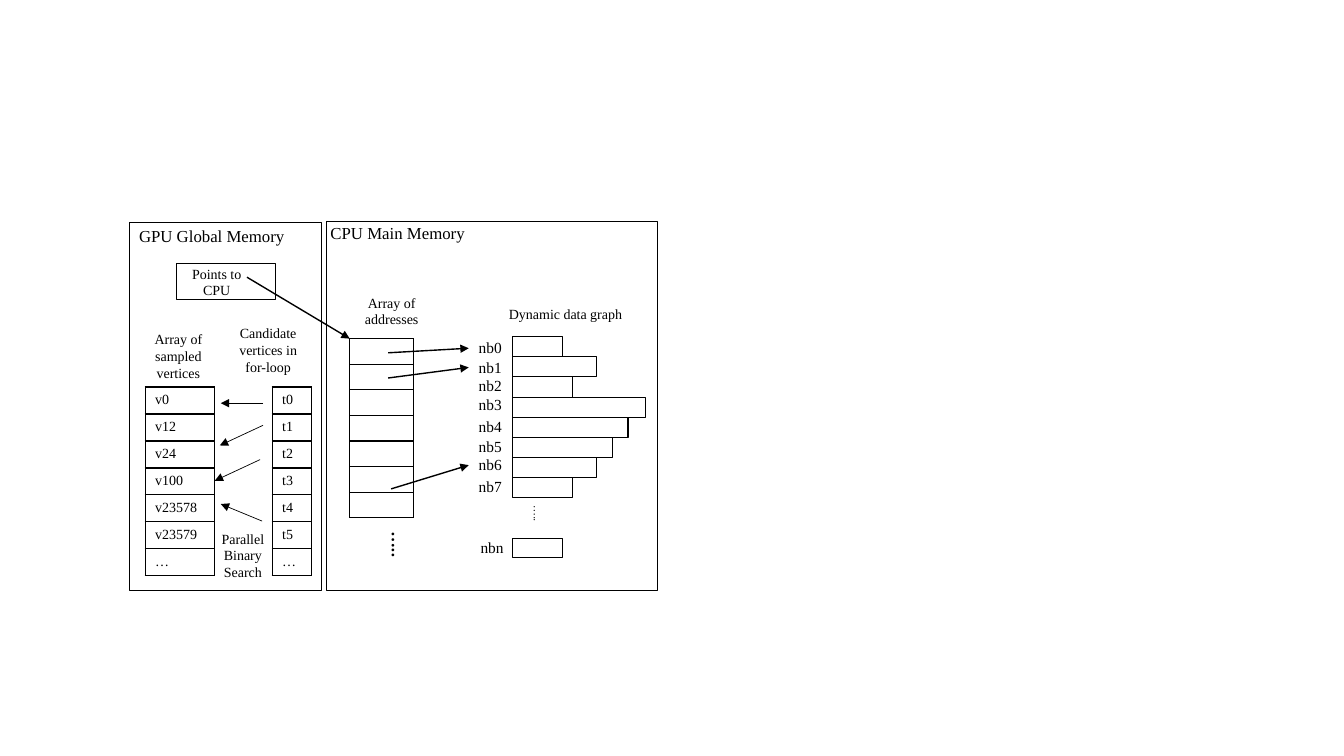
from dataclasses import dataclass

from lxml import etree
from pptx import Presentation
from pptx.dml.color import RGBColor
from pptx.enum.shapes import MSO_CONNECTOR, MSO_SHAPE
from pptx.enum.text import MSO_ANCHOR, MSO_AUTO_SIZE, PP_ALIGN
from pptx.oxml.ns import qn
from pptx.util import Pt

RECT = MSO_SHAPE.RECTANGLE
STRAIGHT = MSO_CONNECTOR.STRAIGHT
TOP = MSO_ANCHOR.TOP
GROW = MSO_AUTO_SIZE.SHAPE_TO_FIT_TEXT
LEFT, CENTER = PP_ALIGN.LEFT, PP_ALIGN.CENTER


@dataclass
class Theme:
    font: str = "Times New Roman"
    ink: str = "000000"
    heading: float = 12
    label: float = 11
    body: float = 10
    empty: float = 8
    outline: float = 0.75
    strong: float = 1
    thin: float = 0.5


class Diagram:
    """Draws black-and-white diagram parts on one slide."""

    def __init__(self, slide, theme):
        self.s = slide
        self.t = theme
        self.ink = RGBColor.from_string(theme.ink)

    def style(self, p, size, align=LEFT, bold=False):
        p.alignment = align
        p.font.name = self.t.font
        p.font.size = Pt(size)
        p.font.bold = bold
        p.font.color.rgb = self.ink

    def box(self, x, y, w, h):
        sp = self.s.shapes.add_shape(RECT, Pt(x), Pt(y), Pt(w), Pt(h))
        sp.shadow.inherit = False
        sp.fill.background()
        sp.line.color.rgb = self.ink
        sp.line.width = Pt(self.t.outline)
        return sp

    def text(self, x, y, w, h, text, size, align=LEFT, wrap=True,
             bold=False, rotation=0):
        sp = self.s.shapes.add_textbox(Pt(x), Pt(y), Pt(w), Pt(h))
        sp.rotation = rotation
        tf = sp.text_frame
        tf.word_wrap = wrap
        tf.auto_size = GROW
        tf.text = text
        for p in tf.paragraphs:
            self.style(p, size, align, bold)
        return sp

    def arrow(self, start, end, width, target=None):
        x1, y1, x2, y2 = (Pt(v) for v in (*start, *end))
        c = self.s.shapes.add_connector(STRAIGHT, x1, y1, x2, y2)
        if target is not None:
            c.end_connect(target, 1)
        c.line.color.rgb = self.ink
        c.line.width = Pt(width)
        ln = c.line._get_or_add_ln()
        etree.SubElement(ln, qn("a:tailEnd"), type="triangle")
        etree.SubElement(c._element.spPr, qn("a:effectLst"))
        return c

    def border(self, cell):
        tc_pr = cell._tc.get_or_add_tcPr()
        for side in ("lnL", "lnR", "lnT", "lnB"):
            ln = etree.SubElement(tc_pr, qn(f"a:{side}"), w=str(Pt(self.t.strong)))
            fill = etree.SubElement(ln, qn("a:solidFill"))
            etree.SubElement(fill, qn("a:srgbClr"), val=self.t.ink)

    def column(self, x, y, w, row_h, texts):
        """A one-column table that shows an array."""
        n = len(texts)
        frame = self.s.shapes.add_table(n, 1, Pt(x), Pt(y), Pt(w), Pt(row_h * n))
        table = frame.table
        table.first_row = table.horz_banding = False
        for i, text in enumerate(texts):
            table.rows[i].height = Pt(row_h)
            cell = table.cell(i, 0)
            cell.vertical_anchor = TOP
            cell.margin_top = cell.margin_bottom = Pt(3.6)
            self.border(cell)
            cell.fill.background()
            p = cell.text_frame.paragraphs[0]
            if text:
                p.text = text
                self.style(p, self.t.body)
            else:
                etree.SubElement(p._p, qn("a:endParaRPr"),
                                 sz=str(self.t.empty * 100))


def draw_cpu(d):
    t = d.t
    # Array of addresses
    d.column(249.8, 241.9, 45.4, 18.3, [""] * 7)
    d.text(239.8, 206.6, 79.9, 31.7, "Array of addresses", t.body, CENTER)

    # Dynamic data graph: one bar per neighbour list
    bar_x, bar_y, bar_h = 365.8, 240.5, 14.4
    widths = (36, 60, 43.2, 95, 82.8, 72, 60, 43.2)
    for i, w in enumerate(widths):
        d.box(bar_x, bar_y + i * bar_h, w, bar_h)
    d.box(bar_x, 384.5, 36, 13.7)

    label_tops = (238.3, 252, 265, 278.6, 294.5, 308.9, 321.8, 337)
    labels = [d.text(334.8, y, 31, 20.9, f"nb{i}", t.label, wrap=False)
              for i, y in enumerate(label_tops)]
    d.text(336.2, 380.9, 31, 20.9, "nbn", t.label, wrap=False)
    d.text(365.8, 357.8, 26.6, 17.3, "..…", t.empty, wrap=False, rotation=270)
    d.text(352.1, 214.6, 103.7, 19.4, "Dynamic data graph", t.body, CENTER)

    # Addresses point to neighbour lists
    for start, i in (((277.2, 252), 0), ((277.2, 270), 1), ((279.4, 349.2), 6)):
        d.arrow(start, (334.8, label_tops[i] + 10.4), t.strong, labels[i])

    # Frame
    d.box(233.3, 158.4, 236.2, 263.5)
    d.text(229, 155.5, 165.6, 21.6, "CPU Main Memory", t.heading)
    d.text(260.6, 378, 32.4, 21.6, "..…", t.heading, wrap=False, bold=True,
           rotation=270)


def draw_gpu(d):
    t = d.t
    # Frame and pointer
    d.box(92.2, 159.1, 137.5, 262.8)
    d.text(92.2, 157.7, 130.3, 21.6, "GPU Global Memory", t.heading)
    d.box(126, 187.9, 70.6, 25.9)
    d.arrow((176.4, 198), (249.8, 241.9), t.strong)
    d.text(121.7, 185.8, 66.2, 31.7, "Points to CPU", t.body, CENTER)

    # Sampled vertices and candidate vertices
    top, row_h = 276.5, 19.2
    vertices = ["v0", "v12", "v24", "v100", "v23578", "v23579", "…"]
    d.column(103.7, top, 49.7, row_h, vertices)
    d.column(194.4, top, 28.1, row_h, [f"t{i}" for i in range(6)] + ["…"])
    d.text(87.1, 232.6, 80.6, 43.9, "Array of sampled vertices", t.body, CENTER)
    d.text(160.6, 228.2, 61.9, 43.9, "Candidate vertices in for-loop", t.body, CENTER)

    # Parallel binary search
    for start, end in (((187.9, 288), (157.7, 288)),
                       ((187.9, 303.8), (157, 318.2)),
                       ((185.8, 328.3), (153.4, 343.4)),
                       ((187.2, 372.2), (157.7, 360))):
        d.arrow(start, end, t.thin)
    d.text(144.7, 375.1, 57.6, 43.9, "Parallel\nBinary Search", t.body, CENTER)


def main():
    prs = Presentation()
    prs.slide_width, prs.slide_height = Pt(960), Pt(540)
    d = Diagram(prs.slides.add_slide(prs.slide_layouts[6]), Theme())
    draw_cpu(d)
    draw_gpu(d)
    prs.save("out.pptx")


if __name__ == "__main__":
    main()
